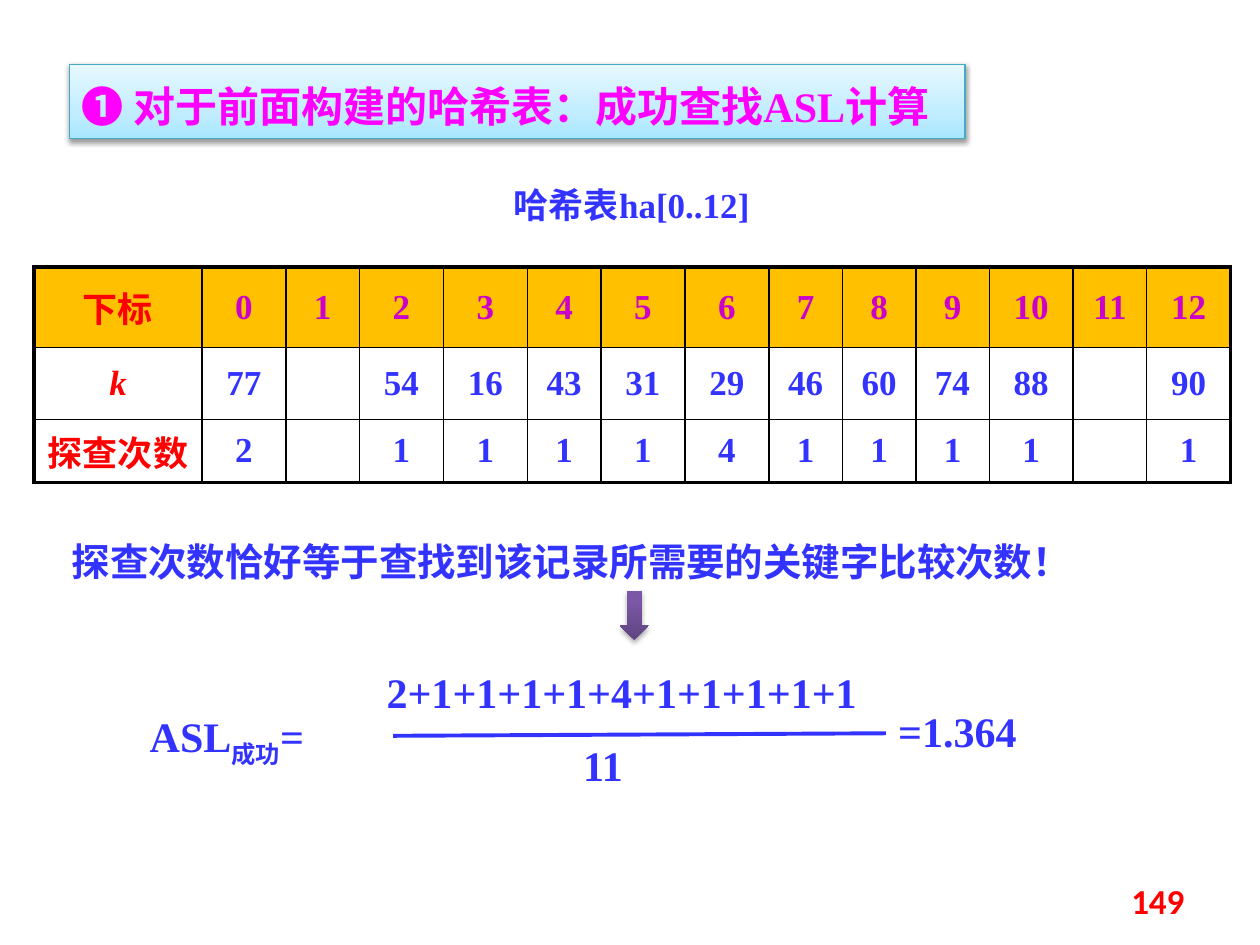
from lxml import etree
from pptx import Presentation
from pptx.dml.color import RGBColor
from pptx.enum.shapes import MSO_CONNECTOR, MSO_SHAPE
from pptx.enum.text import MSO_ANCHOR, MSO_AUTO_SIZE, PP_ALIGN
from pptx.oxml.ns import qn
from pptx.util import Inches, Pt

TOP, MIDDLE = MSO_ANCHOR.TOP, MSO_ANCHOR.MIDDLE
LEFT, CENTER = PP_ALIGN.LEFT, PP_ALIGN.CENTER
RIGHT, JUSTIFY = PP_ALIGN.RIGHT, PP_ALIGN.JUSTIFY

BLUE = RGBColor(0x33, 0x33, 0xFF)
RED = RGBColor(0xFF, 0x00, 0x00)
MAGENTA = RGBColor(0xFF, 0x00, 0xFF)
PURPLE = RGBColor(0xCC, 0x00, 0xCC)
ORANGE = RGBColor(0xFF, 0xC0, 0x00)
BLACK = RGBColor(0x00, 0x00, 0x00)
TEAL = RGBColor(0x46, 0xAA, 0xC5)
SKY_STOPS = [(0, RGBColor(0xA7, 0xE6, 0xFF)), (35, RGBColor(0xC1, 0xED, 0xFF)),
             (100, RGBColor(0xE7, 0xF8, 0xFF))]
VIOLET_STOPS = [(0, RGBColor(0x5F, 0x44, 0x80)), (80, RGBColor(0x7B, 0x58, 0xA6)),
                (100, RGBColor(0x7C, 0x57, 0xA8))]

SERIF = "Times New Roman"
THICK, THIN = 2.25, 1

# Hash table ha[0..12]: keys and probe counts, None where a slot is empty
KEYS = [77, None, 54, 16, 43, 31, 29, 46, 60, 74, 88, None, 90]
PROBES = [2, None, 1, 1, 1, 1, 4, 1, 1, 1, 1, None, 1]
COLUMN_TWELFTHS = [16, 8, 7, 8, 8, 7, 8, 8, 7, 7, 7, 8, 7, 8]
ROW_HEIGHTS = [0.64, 0.57, 0.5]


def add_color(parent, color):
    return etree.SubElement(parent, qn("a:srgbClr"), val=str(color))


def format_run(r, size, color, font=SERIF, italic=False):
    r.font.name, r.font.size = font, Pt(size)
    r.font.bold, r.font.italic = True, italic
    r.font.color.rgb = color


def add_text(s, box, text, size=24, color=BLUE, font=SERIF, align=LEFT, anchor=TOP):
    tf = s.shapes.add_textbox(*map(Inches, box)).text_frame
    tf.word_wrap = True
    tf.vertical_anchor = anchor
    p = tf.paragraphs[0]
    p.text = text
    p.alignment = align
    format_run(p.runs[0], size, color, font)
    return p


def fill_upward(sp, stops):
    sp.fill.gradient()
    sp.fill.gradient_angle = 90
    stop_list = sp._element.find(".//" + qn("a:gsLst"))
    stop_list.clear()
    for percent, color in stops:
        stop = etree.SubElement(stop_list, qn("a:gs"), pos=str(percent * 1000))
        add_color(stop, color)


def drop_shadow(sp, opacity, distance):
    sp.shadow.inherit = False
    effects = sp._element.spPr.find(qn("a:effectLst"))
    shadow = etree.SubElement(effects, qn("a:outerShdw"), blurRad=str(Pt(3.1)),
                              dist=str(Pt(distance)), dir="5400000", rotWithShape="0")
    etree.SubElement(add_color(shadow, BLACK), qn("a:alpha"), val=str(opacity * 1000))


def add_title(s, box, text):
    sp = s.shapes.title
    sp.left, sp.top, sp.width, sp.height = map(Inches, box)
    fill_upward(sp, SKY_STOPS)
    sp.line.color.rgb = TEAL
    sp.line.width = Pt(0.75)
    drop_shadow(sp, 38, 1.6)
    tf = sp.text_frame
    tf.text = text
    tf.auto_size = MSO_AUTO_SIZE.NONE
    tf.vertical_anchor = TOP
    p = tf.paragraphs[0]
    p.alignment, p.line_spacing = JUSTIFY, 1.2
    format_run(p.runs[0], 24, MAGENTA)


def set_borders(cell, widths):
    tc_pr = cell._tc.get_or_add_tcPr()
    for side, width in zip("LRTB", widths):
        ln = etree.SubElement(tc_pr, qn(f"a:ln{side}"), w=str(Pt(width)))
        add_color(etree.SubElement(ln, qn("a:solidFill")), BLACK)


def add_hash_table(s, left, top):
    rows = [["下标", *range(13)], ["k", *KEYS], ["探查次数", *PROBES]]
    last_row, last_col = len(rows) - 1, len(rows[0]) - 1
    width = sum(COLUMN_TWELFTHS) / 12
    table = s.shapes.add_table(len(rows), len(rows[0]), Inches(left), Inches(top),
                               Inches(width), Inches(sum(ROW_HEIGHTS))).table
    table.first_row = table.horz_banding = False
    for column, twelfths in zip(table.columns, COLUMN_TWELFTHS):
        column.width = Inches(twelfths / 12)
    for i, values in enumerate(rows):
        table.rows[i].height = Inches(ROW_HEIGHTS[i])
        for j, value in enumerate(values):
            cell = table.cell(i, j)
            outer = (j == 0, j == last_col, i == 0, i == last_row)
            set_borders(cell, [THICK if edge else THIN for edge in outer])
            if i == 0:
                cell.fill.solid()
                cell.fill.fore_color.rgb = ORANGE
            else:
                cell.fill.background()
            cell.vertical_anchor = MIDDLE
            if value is None:
                continue
            p = cell.text_frame.paragraphs[0]
            p.text = str(value)
            p.alignment = CENTER
            color = RED if j == 0 else PURPLE if i == 0 else BLUE
            format_run(p.runs[0], 20, color, italic=value == "k")


def add_down_arrow(s, box):
    sp = s.shapes.add_shape(MSO_SHAPE.DOWN_ARROW, *map(Inches, box))
    fill_upward(sp, VIOLET_STOPS)
    sp.line.fill.background()
    drop_shadow(sp, 35, 1.8)


def add_line(s, *ends):
    line = s.shapes.add_connector(MSO_CONNECTOR.STRAIGHT, *map(Inches, ends))
    line.line.color.rgb = BLUE
    line.line.width = Pt(THICK)
    etree.SubElement(line._element.spPr, qn("a:effectLst"))


def add_formula(s):
    # Left side with a subscript
    p = add_text(s, (1.09, 5.59, 2.03, 0.5), "ASL")
    for text, baseline in (("成功", -25000), ("=", 0)):
        r = p.add_run()
        r.text = text
        format_run(r, 24, BLUE)
        r.font._element.set("baseline", str(baseline))
    # Fraction and result
    counts = [str(n) for n in PROBES if n is not None]
    add_text(s, (2.97, 5.24, 4.14, 0.5), "+".join(counts))
    add_line(s, 3.12, 5.84, 7.03, 5.82)
    add_text(s, (4.53, 5.82, 1.09, 0.5), str(len(counts)))
    add_text(s, (7.03, 5.55, 1.41, 0.5), "=1.364")


def main():
    prs = Presentation()
    prs.slide_width, prs.slide_height = Inches(10), Inches(7.5)
    s = prs.slides.add_slide(prs.slide_layouts[5])

    add_title(s, (0.55, 0.51, 7.11, 0.59), "❶ 对于前面构建的哈希表：成功查找ASL计算")
    add_text(s, (3.98, 1.41, 2.17, 0.44), "哈希表ha[0..12]", 20)
    add_hash_table(s, 0.27, 2.12)
    add_text(s, (0.47, 4.22, 8.98, 0.47),
             "探查次数恰好等于查找到该记录所需要的关键字比较次数！", 22)
    add_down_arrow(s, (4.92, 4.69, 0.23, 0.39))
    add_formula(s)
    # Page number
    add_text(s, (7.17, 6.95, 2.33, 0.4), "149", 20, RED, "Calibri", RIGHT, MIDDLE)

    prs.save("out.pptx")


if __name__ == "__main__":
    main()
